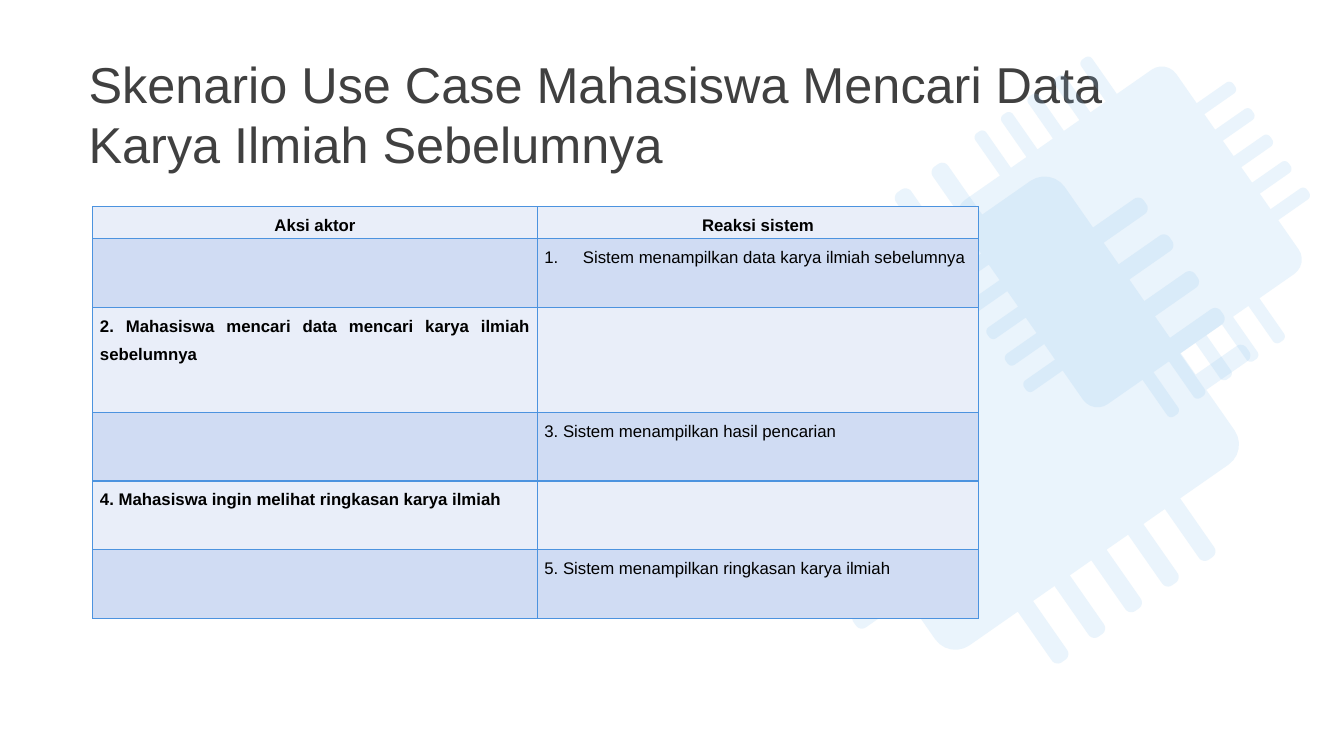
from math import cos, radians, sin

from lxml.etree import SubElement
from pptx import Presentation
from pptx.dml.color import RGBColor
from pptx.enum.text import MSO_ANCHOR as Anchor, MSO_AUTO_SIZE as AutoSize, PP_ALIGN as Align
from pptx.oxml.ns import qn
from pptx.util import Cm, Pt

COLORS = {
    "title": "404040",
    "text": "000000",
    "chip": "8FC4EF",
    "border": "4C93DF",
    "light": "E9EEF9",
    "dark": "D0DCF3",
}
TITLE = "Skenario Use Case Mahasiswa Mencari Data Karya Ilmiah Sebelumnya"
SCENARIO = [
    ("Aksi aktor", "Reaksi sistem"),
    ("", "Sistem menampilkan data karya ilmiah sebelumnya"),
    ("2. Mahasiswa mencari data mencari karya ilmiah sebelumnya", ""),
    ("", "3. Sistem menampilkan hasil pencarian"),
    ("4. Mahasiswa ingin melihat ringkasan karya ilmiah", ""),
    ("", "5. Sistem menampilkan ringkasan karya ilmiah"),
]
COLUMN_WIDTHS = [11.2, 11.13]
ROW_HEIGHTS = [0.81, 1.73, 2.64, 1.73, 1.73, 1.73]


def arc(x, y, radius, start):
    angles = [radians(start + step * 15) for step in range(7)]
    return [(x + radius * cos(angle), y + radius * sin(angle)) for angle in angles]


def chip_side(half_length, depth):
    leg, pitch, tip, bend, corner = 0.235, 1.13, 6.04, 0.18, 0.62
    points = []
    for number in range(-2, 3):
        center = number * pitch
        points.append((center - leg, -depth))
        points += arc(center - leg + bend, bend - tip, bend, 180)
        points += arc(center + leg - bend, bend - tip, bend, 270)
        points.append((center + leg, -depth))
    return points + arc(half_length - corner, corner - depth, corner, 270)


def chip_outline(half_width=4.6, half_height=4.36):
    outline = []
    for turn in range(4):
        sizes = (half_height, half_width) if turn % 2 else (half_width, half_height)
        points = chip_side(*sizes)
        for _ in range(turn):
            points = [(-y, x) for x, y in points]
        outline += points
    return outline


class SlideBuilder:
    font_name = "Arial"

    def __init__(self, presentation):
        self.slide = presentation.slides.add_slide(presentation.slide_layouts[5])
        self.shapes = self.slide.shapes

    def color(self, name):
        return RGBColor.from_string(COLORS[name])

    def style(self, paragraph, size, color, bold=False):
        font = paragraph.font
        font.name, font.size, font.bold = self.font_name, Pt(size), bold
        font.color.rgb = self.color(color)

    def title(self, text, left, top, width, height):
        title = self.shapes.title
        title.left, title.top, title.width, title.height = map(Cm, (left, top, width, height))
        self.shapes._spTree.append(title._element)
        frame = title.text_frame
        frame.text = text
        frame.word_wrap = True
        frame.auto_size = AutoSize.SHAPE_TO_FIT_TEXT
        frame.vertical_anchor = Anchor.MIDDLE
        frame.paragraphs[0].alignment = Align.LEFT
        self.style(frame.paragraphs[0], 36, "title")

    def chip(self, center_x, center_y, scale=1):
        units = 1000
        points = [(x * scale * units, y * scale * units) for x, y in chip_outline()]
        builder = self.shapes.build_freeform(*points[0], scale=Cm(1) / units)
        builder.add_line_segments(points[1:], close=True)
        shape = builder.convert_to_shape(Cm(center_x), Cm(center_y))
        shape.rotation = 325.1
        shape.shadow.inherit = False
        shape.line.fill.background()
        shape.fill.solid()
        shape.fill.fore_color.rgb = self.color("chip")
        fill_color = shape._element.spPr.find(qn("a:solidFill"))[0]
        SubElement(fill_color, qn("a:alpha"), val="18000")

    def borders(self, cell):
        properties = cell._tc.get_or_add_tcPr()
        for side in ("a:lnL", "a:lnR", "a:lnT", "a:lnB"):
            line = SubElement(properties, qn(side), w=str(Pt(1)))
            fill = SubElement(line, qn("a:solidFill"))
            SubElement(fill, qn("a:srgbClr"), val=COLORS["border"])

    def cell(self, cell, text, fill, header, bold):
        self.borders(cell)
        cell.fill.solid()
        cell.fill.fore_color.rgb = self.color(fill)
        cell.margin_left = cell.margin_right = Cm(0.18)
        cell.margin_top = cell.margin_bottom = 0
        cell.text = text
        paragraph = cell.text_frame.paragraphs[0]
        paragraph.alignment = Align.CENTER if header else Align.JUSTIFY
        paragraph.line_spacing = 1.5
        if header:
            paragraph.space_after = Pt(10)
        self.style(paragraph, 12, "text", bold)

    def number(self, paragraph, indent):
        properties = paragraph._p.get_or_add_pPr()
        properties.set("marL", str(Cm(indent)))
        properties.set("indent", str(-Cm(indent)))
        numbering = properties.makeelement(qn("a:buAutoNum"), type="arabicPeriod")
        properties.find(qn("a:defRPr")).addprevious(numbering)

    def table(self, rows, left, top):
        frame = self.shapes.add_table(
            len(rows), len(COLUMN_WIDTHS), Cm(left), Cm(top),
            Cm(sum(COLUMN_WIDTHS)), Cm(sum(ROW_HEIGHTS)))
        table = frame.table
        table.first_row = table.horz_banding = False
        for column, width in zip(table.columns, COLUMN_WIDTHS):
            column.width = Cm(width)
        for row, height in zip(table.rows, ROW_HEIGHTS):
            row.height = Cm(height)
        for row_index, texts in enumerate(rows):
            header = row_index == 0
            fill = "dark" if row_index % 2 else "light"
            for column_index, text in enumerate(texts):
                bold = header or column_index == 0
                self.cell(table.cell(row_index, column_index), text, fill, header, bold)
        return table


def main():
    presentation = Presentation()
    presentation.slide_width, presentation.slide_height = Cm(33.87), Cm(19.05)
    builder = SlideBuilder(presentation)
    builder.chip(25.2, 10.41)
    builder.title(TITLE, 1.98, 1.19, 28.63, 3.33)
    builder.chip(28.47, 5.97, scale=0.72)
    table = builder.table(SCENARIO, 2.34, 5.21)
    builder.number(table.cell(1, 1).text_frame.paragraphs[0], 0.97)
    presentation.save("out.pptx")


if __name__ == "__main__":
    main()
